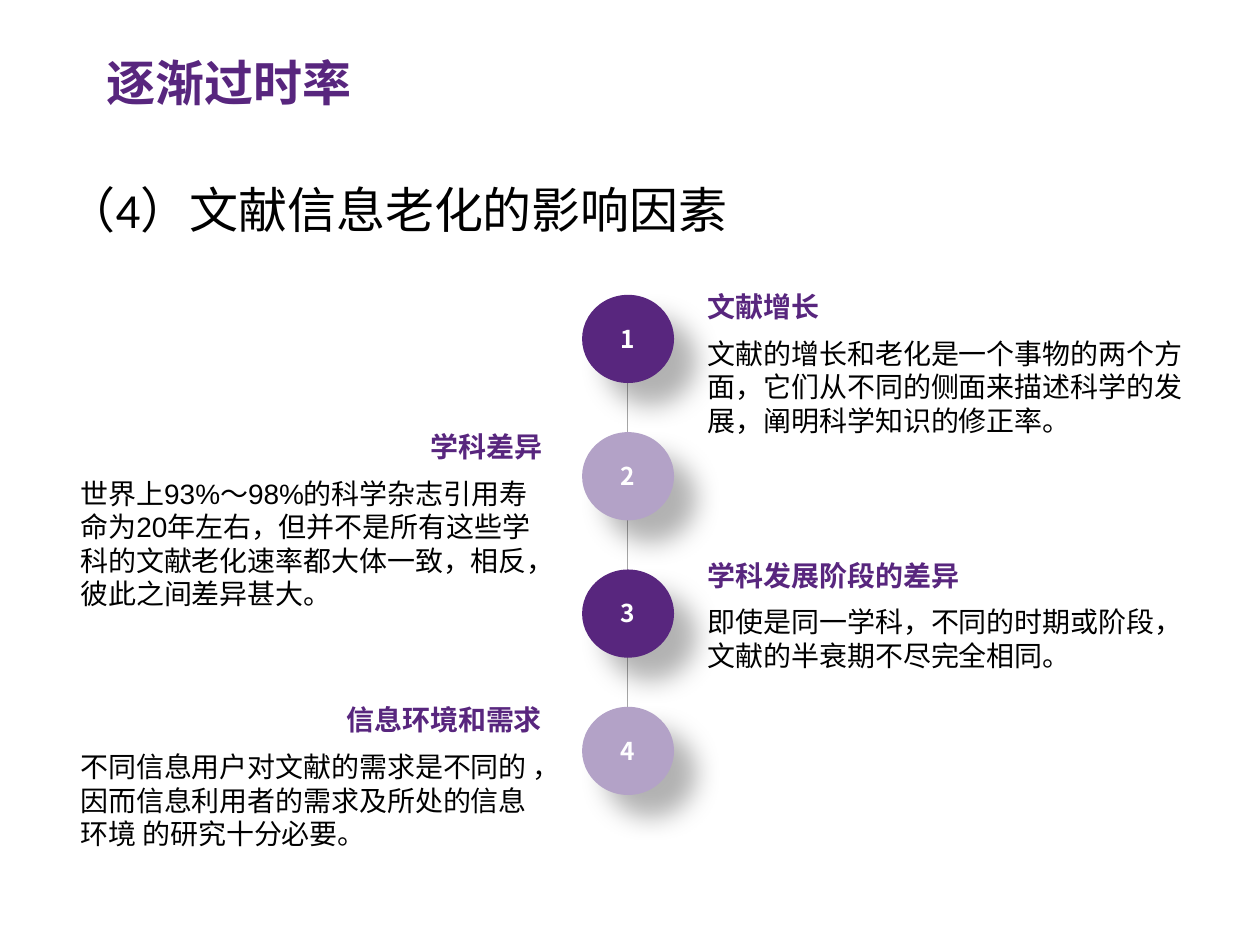
from lxml import etree
from pptx import Presentation
from pptx.dml.color import RGBColor
from pptx.enum.shapes import MSO_CONNECTOR as Connector, MSO_SHAPE as Shape
from pptx.enum.text import MSO_ANCHOR as Anchor, MSO_AUTO_SIZE as AutoSize, PP_ALIGN as Align
from pptx.oxml import parse_xml
from pptx.oxml.ns import nsdecls, qn
from pptx.util import Inches, Pt

COLORS = {"purple": "58267E", "lavender": "B3A2C7", "black": "000000",
          "white": "FFFFFF", "gray": "A6A6A6"}
HEADING_FONT = "Noto Sans CJK SC"

FACTORS = [
    ("文献增长", "文献的增长和老化是一个事物的两个方面，它们从不同的侧面来描述科学的发展，阐明科学知识的修正率。", 2.25, 0.91),
    ("学科差异", "世界上93%～98%的科学杂志引用寿命为20年左右，但并不是所有这些学科的文献老化速率都大体一致，相反，彼此之间差异甚大。", 3.36, 1.18),
    ("学科发展阶段的差异", "即使是同一学科，不同的时期或阶段，文献的半衰期不尽完全相同。", 4.38, 0.64),
    ("信息环境和需求", "不同信息用户对文献的需求是不同的 ，因而信息利用者的需求及所处的信息环境 的研究十分必要。", 5.53, 0.91),
]


class SlideBuilder:
    """Holds the slide and the shared style of its elements."""

    def __init__(self, slide):
        self.slide = slide

    def color(self, name):
        return RGBColor.from_string(COLORS[name])

    def set_text(self, frame, text, size, font, color, bold=False, align=Align.LEFT):
        frame.text = text
        paragraph = frame.paragraphs[0]
        paragraph.alignment = align
        paragraph.font.size = Pt(size)
        paragraph.font.name = font
        paragraph.font.bold = bold
        paragraph.font.color.rgb = self.color(color)

    def title(self, text, left, top, width, height):
        title = self.slide.shapes.title
        title.left, title.top = Inches(left), Inches(top)
        title.width, title.height = Inches(width), Inches(height)
        frame = title.text_frame
        frame.auto_size = AutoSize.NONE
        frame.vertical_anchor = Anchor.MIDDLE
        self.set_text(frame, text, 28, "Calibri", "black")

    def text(self, text, left, top, width, height, *style, wrap=True, grow=True, **options):
        box = self.slide.shapes.add_textbox(Inches(left), Inches(top), Inches(width), Inches(height))
        frame = box.text_frame
        frame.word_wrap = wrap
        frame.auto_size = AutoSize.SHAPE_TO_FIT_TEXT if grow else AutoSize.NONE
        self.set_text(frame, text, *style, **options)

    def line(self, x, top, bottom):
        connector = self.slide.shapes.add_connector(
            Connector.STRAIGHT, Inches(x), Inches(top), Inches(x), Inches(bottom))
        connector.line.color.rgb = self.color("gray")
        connector.line.width = Pt(1)
        etree.SubElement(connector.element.spPr, qn("a:effectLst"))

    def circle(self, number, left, top, fill):
        circle = self.slide.shapes.add_shape(
            Shape.OVAL, Inches(left), Inches(top), Inches(0.73), Inches(0.7))
        circle.fill.solid()
        circle.fill.fore_color.rgb = self.color(fill)
        circle.line.fill.background()
        circle.shadow.inherit = False
        effects = circle.element.spPr.find(qn("a:effectLst"))
        effects.append(parse_xml(
            f'<a:outerShdw {nsdecls("a")} blurRad="{Pt(15)}" dist="{Pt(18)}" dir="2700000" '
            f'algn="tl" rotWithShape="0"><a:srgbClr val="{COLORS["black"]}">'
            '<a:alpha val="30000"/></a:srgbClr></a:outerShdw>'))
        self.text(str(number), left + 0.19, top + 0.18, 0.35, 0.35, 14, HEADING_FONT, "white",
                  bold=True, align=Align.CENTER, wrap=False)

    def factor(self, heading, body, top, height, on_right):
        heading_left, body_left, body_width, align = (
            (5.52, 5.52, 3.97, Align.LEFT) if on_right else (0.91, 0.54, 3.86, Align.RIGHT))
        self.text(heading, heading_left, top, 3.49, 0.38, 16, HEADING_FONT, "purple",
                  bold=True, align=align)
        self.text(body, body_left, top + 0.37, body_width, height, 16, "Arial", "black")


def main():
    presentation = Presentation()
    presentation.slide_width, presentation.slide_height = Inches(10), Inches(7.5)
    builder = SlideBuilder(presentation.slides.add_slide(presentation.slide_layouts[5]))
    builder.title("（4）文献信息老化的影响因素", 0.43, 1.34, 6.14, 0.63)
    builder.text("逐渐过时率", 0.75, 0.37, 9.34, 0.46, 28, "Calibri", "purple",
                 bold=True, grow=False)
    builder.line(4.98, 2.75, 6.02)
    for index, (heading, body, top, height) in enumerate(FACTORS):
        on_right = index % 2 == 0
        builder.circle(index + 1, 4.62, 2.34 + 1.09 * index, "purple" if on_right else "lavender")
        builder.factor(heading, body, top, height, on_right)
    presentation.save("out.pptx")


if __name__ == "__main__":
    main()
